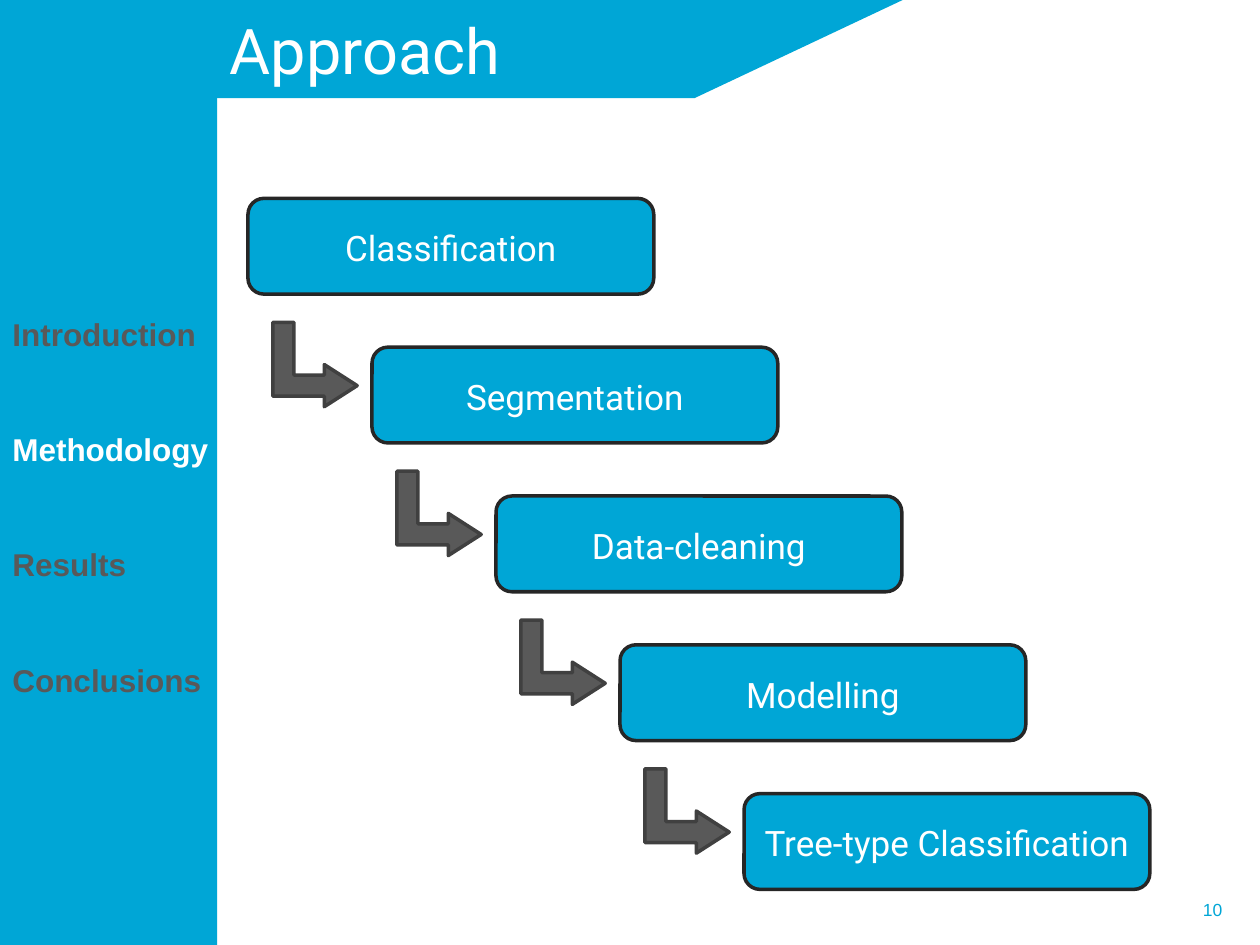
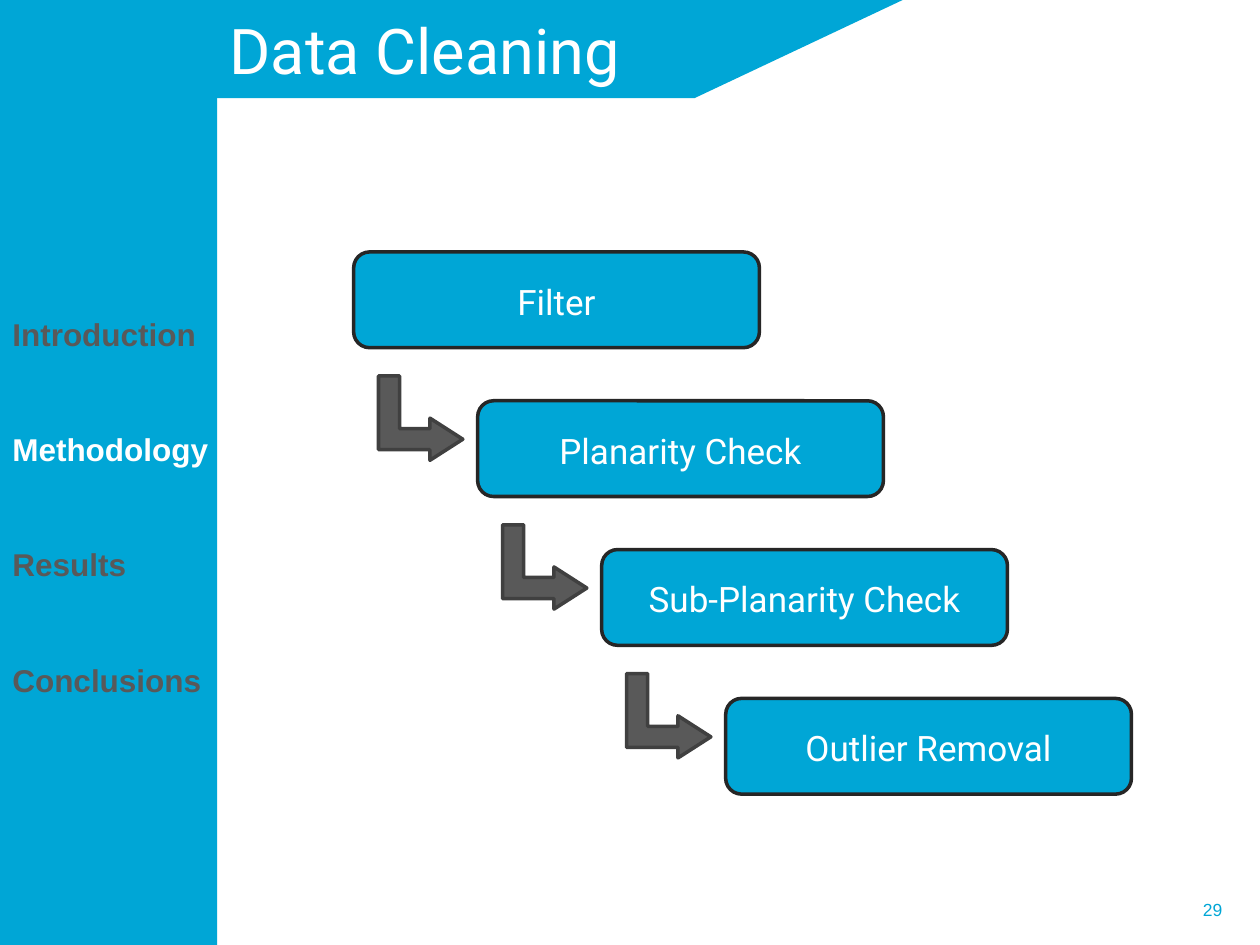
from pptx import Presentation
from pptx.dml.color import RGBColor
from pptx.enum.shapes import MSO_SHAPE
from pptx.enum.text import MSO_ANCHOR, PP_ALIGN
from pptx.util import Cm, Pt

RECTANGLE = MSO_SHAPE.RECTANGLE
ROUNDED = MSO_SHAPE.ROUNDED_RECTANGLE
BENT_ARROW = MSO_SHAPE.BENT_UP_ARROW
TOP, MIDDLE = MSO_ANCHOR.TOP, MSO_ANCHOR.MIDDLE
LEFT, CENTER, RIGHT = PP_ALIGN.LEFT, PP_ALIGN.CENTER, PP_ALIGN.RIGHT

# Content: title, page number, top left corner of the first step (cm), steps
SLIDES = [
    ("Approach", "10", (5, 4),
     ["Classification", "Segmentation", "Data-cleaning", "Modelling",
      "Tree-type Classification"]),
    ("Data Cleaning", "29", (7.13, 5.08),
     ["Filter", "Planarity Check", "Sub-Planarity Check", "Outlier Removal"]),
]
SECTIONS = ["Introduction", "Methodology", "Results", "Conclusions"]
CURRENT_SECTION = "Methodology"

# Shared style
CYAN, WHITE, GREY = "00A6D6", "FFFFFF", "595959"
STEP_EDGE, ARROW_EDGE = "262626", "404040"
HEADING_FONT, BODY_FONT = "Roboto", "Arial"

# Shared layout in cm
SLIDE_WIDTH, SLIDE_HEIGHT = 25.4, 19.05
SIDEBAR_WIDTH = 4.38
BANNER = [(SIDEBAR_WIDTH, 0), (18.2, 0), (14, 1.98), (SIDEBAR_WIDTH, 1.98)]
STEP_WIDTH, STEP_HEIGHT = 8.18, 1.93
STEP_RIGHT, STEP_DOWN = 2.5, 3
ARROW_SIZE, ARROW_RIGHT, ARROW_DOWN = 1.7, 0.5, 2.5


def color(hex_string):
    return RGBColor.from_string(hex_string)


def paint(shape, fill, edge=None):
    shape.shadow.inherit = False
    shape.fill.solid()
    shape.fill.fore_color.rgb = color(fill)
    if edge:
        shape.line.color.rgb = color(edge)
        shape.line.width = Pt(2)
    else:
        shape.line.fill.background()


def add_shape(slide, kind, left, top, width, height, fill, edge=None):
    shape = slide.shapes.add_shape(
        kind, Cm(left), Cm(top), Cm(width), Cm(height))
    paint(shape, fill, edge)
    return shape


def add_text_box(slide, left, top, width, height):
    return slide.shapes.add_textbox(Cm(left), Cm(top), Cm(width), Cm(height))


def write(paragraph, text, size, font, hex_string, align=LEFT, bold=False):
    paragraph.alignment = align
    run = paragraph.add_run()
    run.text = text
    run.font.size = Pt(size)
    run.font.name = font
    run.font.bold = bold
    run.font.color.rgb = color(hex_string)


def write_heading(shape, text, size, align, anchor):
    frame = shape.text_frame
    frame.word_wrap = True
    frame.vertical_anchor = anchor
    paragraph = frame.paragraphs[0]
    paragraph.line_spacing = 1.07
    paragraph.space_after = Pt(8)
    write(paragraph, text, size, HEADING_FONT, WHITE, align)


def add_sidebar(slide):
    add_shape(slide, RECTANGLE, 0, 0, SIDEBAR_WIDTH, SLIDE_HEIGHT, CYAN)
    frame = add_text_box(slide, 0, 6.22, 5.3, 7.95).text_frame
    frame.word_wrap = True
    for index, section in enumerate(SECTIONS):
        paragraph = frame.add_paragraph() if index else frame.paragraphs[0]
        if index:
            paragraph.space_before = Pt(44.3)
        shade = WHITE if section == CURRENT_SECTION else GREY
        write(paragraph, section, 18, BODY_FONT, shade, bold=True)


def add_banner(slide, title):
    corners = [(Cm(x), Cm(y)) for x, y in BANNER]
    builder = slide.shapes.build_freeform(*corners[0])
    builder.add_line_segments(corners[1:], close=True)
    banner = builder.convert_to_shape()
    paint(banner, CYAN)
    write_heading(banner, title, 36, LEFT, TOP)


def add_page_number(slide, number):
    frame = add_text_box(slide, 18.46, 17.83, 6.43, 1.01).text_frame
    frame.word_wrap = True
    frame.vertical_anchor = MIDDLE
    write(frame.paragraphs[0], number, 10, BODY_FONT, CYAN, RIGHT)


def add_staircase(slide, origin, steps):
    for index, step in enumerate(steps):
        left = origin[0] + index * STEP_RIGHT
        top = origin[1] + index * STEP_DOWN
        box = add_shape(slide, ROUNDED, left, top, STEP_WIDTH, STEP_HEIGHT,
                        CYAN, STEP_EDGE)
        write_heading(box, step, 20, CENTER, MIDDLE)
        # Every step but the last points down to the next one
        if index < len(steps) - 1:
            arrow = add_shape(slide, BENT_ARROW, left + ARROW_RIGHT,
                              top + ARROW_DOWN, ARROW_SIZE, ARROW_SIZE,
                              GREY, ARROW_EDGE)
            arrow.rotation = 90
            arrow.adjustments[2] = 0.39


def main():
    presentation = Presentation()
    presentation.slide_width = Cm(SLIDE_WIDTH)
    presentation.slide_height = Cm(SLIDE_HEIGHT)
    blank_layout = presentation.slide_layouts[6]
    for title, number, origin, steps in SLIDES:
        slide = presentation.slides.add_slide(blank_layout)
        add_sidebar(slide)
        add_page_number(slide, number)
        add_staircase(slide, origin, steps)
        add_banner(slide, title)
    presentation.save("out.pptx")


if __name__ == "__main__":
    main()
